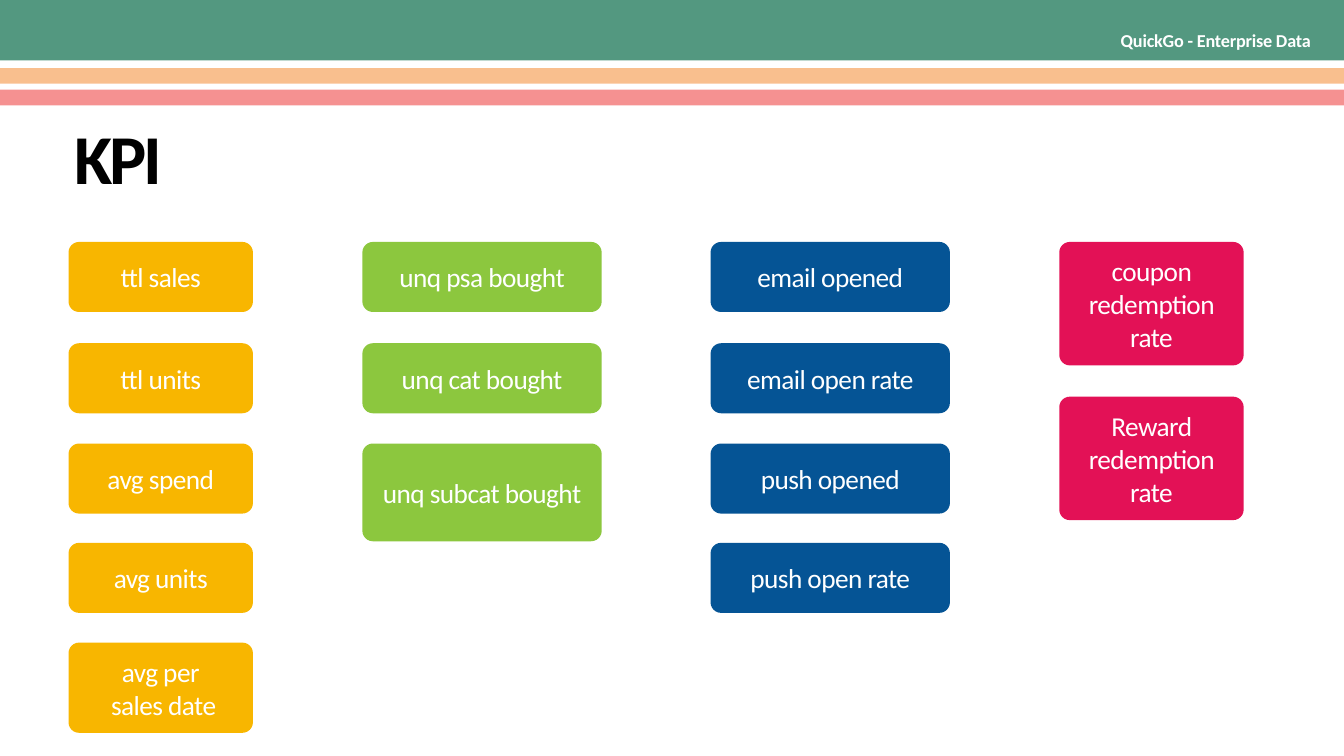
from pptx import Presentation
from pptx.dml.color import RGBColor
from pptx.enum.shapes import MSO_SHAPE
from pptx.enum.text import MSO_ANCHOR, PP_ALIGN
from pptx.oxml.ns import qn
from pptx.util import Inches, Pt
from lxml import etree

RECTANGLE = MSO_SHAPE.RECTANGLE
ROUNDED = MSO_SHAPE.ROUNDED_RECTANGLE
TOP, MIDDLE = MSO_ANCHOR.TOP, MSO_ANCHOR.MIDDLE
LEFT, CENTER = PP_ALIGN.LEFT, PP_ALIGN.CENTER

BLACK = RGBColor(0x00, 0x00, 0x00)
WHITE = RGBColor(0xFF, 0xFF, 0xFF)
YELLOW = RGBColor(0xF8, 0xB6, 0x00)
LIME = RGBColor(0x8C, 0xC7, 0x3E)
BLUE = RGBColor(0x05, 0x54, 0x95)
CRIMSON = RGBColor(0xE3, 0x11, 0x56)
GREEN = RGBColor(0x14, 0x73, 0x51)
ORANGE = RGBColor(0xF4, 0x81, 0x1F)
RED = RGBColor(0xED, 0x25, 0x25)

WIDTH, HEIGHT = 26.67, 15
CORNER = 0.21
CARD = 1.39
TALL = 2.45
ROWS = (4.8, 6.81, 8.8, 10.77, 12.75)
TALL_ROWS = (4.8, 7.87)

BANDS = (
    (0, 1.2, GREEN, 73),
    (1.35, 0.31, ORANGE, 50),
    (1.78, 0.31, RED, 50),
)

COLUMNS = (
    (1.36, 3.66, YELLOW, ROWS, (
        ("ttl sales", CARD),
        ("ttl units", CARD),
        ("avg spend", CARD),
        ("avg units", CARD),
        ("avg per\n sales date", 1.79),
    )),
    (7.19, 4.75, LIME, ROWS, (
        ("unq psa bought", CARD),
        ("unq cat bought", CARD),
        ("unq subcat bought", 1.94),
    )),
    (14.1, 4.75, BLUE, ROWS, (
        ("email opened", CARD),
        ("email open rate", CARD),
        ("push opened", CARD),
        ("push open rate", CARD),
    )),
    (21.02, 3.66, CRIMSON, TALL_ROWS, (
        ("coupon redemption rate", TALL),
        ("Reward redemption rate", TALL),
    )),
)


class SlideBuilder:
    font = "Calibri"
    inset = 0.06

    def __init__(self, slide):
        self.slide = slide

    def shape(self, kind, left, top, width, height, color):
        shape = self.slide.shapes.add_shape(
            kind, Inches(left), Inches(top), Inches(width), Inches(height))
        shape.shadow.inherit = False
        shape.fill.solid()
        shape.fill.fore_color.rgb = color
        shape.line.fill.background()
        return shape

    def band(self, top, height, color, opacity):
        shape = self.shape(RECTANGLE, 0, top, WIDTH, height, color)
        fill_color = shape.element.spPr.find(qn("a:solidFill"))[0]
        alpha = etree.SubElement(fill_color, qn("a:alpha"))
        alpha.set("val", str(opacity * 1000))

    def card(self, text, left, top, width, height, color):
        shape = self.shape(ROUNDED, left, top, width, height, color)
        shape.adjustments[0] = CORNER / height
        self.add_text(shape.text_frame, text, 39, WHITE, spacing=-0.8)

    def label(self, text, left, top, width, height, size, color, **style):
        box = self.slide.shapes.add_textbox(
            Inches(left), Inches(top), Inches(width), Inches(height))
        self.add_text(box.text_frame, text, size, color,
                      bold=True, line_spacing=0.8, **style)

    def add_text(self, frame, text, size, color, spacing, bold=False, align=CENTER,
                 anchor=MIDDLE, wrap=True, line_spacing=None, before=0):
        frame.word_wrap = wrap
        frame.vertical_anchor = anchor
        frame.margin_left = frame.margin_right = Inches(self.inset)
        frame.margin_top = frame.margin_bottom = Inches(self.inset)
        for index, line in enumerate(text.split("\n")):
            paragraph = frame.add_paragraph() if index else frame.paragraphs[0]
            paragraph.alignment = align
            paragraph.line_spacing = line_spacing
            paragraph.space_before = Pt(before)
            run = paragraph.add_run()
            run.text = line
            run.font.name = self.font
            run.font.size = Pt(size)
            run.font.bold = bold
            run.font.color.rgb = color
            run._r.get_or_add_rPr().set("spc", str(round(spacing * 100)))


def main():
    presentation = Presentation()
    presentation.slide_width = Inches(WIDTH)
    presentation.slide_height = Inches(HEIGHT)
    slide = presentation.slides.add_slide(presentation.slide_layouts[6])
    builder = SlideBuilder(slide)

    for band in BANDS:
        builder.band(*band)
    builder.label("QuickGo - Enterprise Data", 21.9, 0.55, 4.45, 0.59, 26, WHITE,
                  wrap=False, spacing=-0.3, before=4)
    builder.label("KPI", 1.41, 2.53, 23.92, 1.94, 100, BLACK,
                  spacing=-4, align=LEFT, anchor=TOP)

    for left, width, color, rows, cards in COLUMNS:
        for top, (text, height) in zip(rows, cards):
            builder.card(text, left, top, width, height, color)

    presentation.save("out.pptx")


if __name__ == "__main__":
    main()
